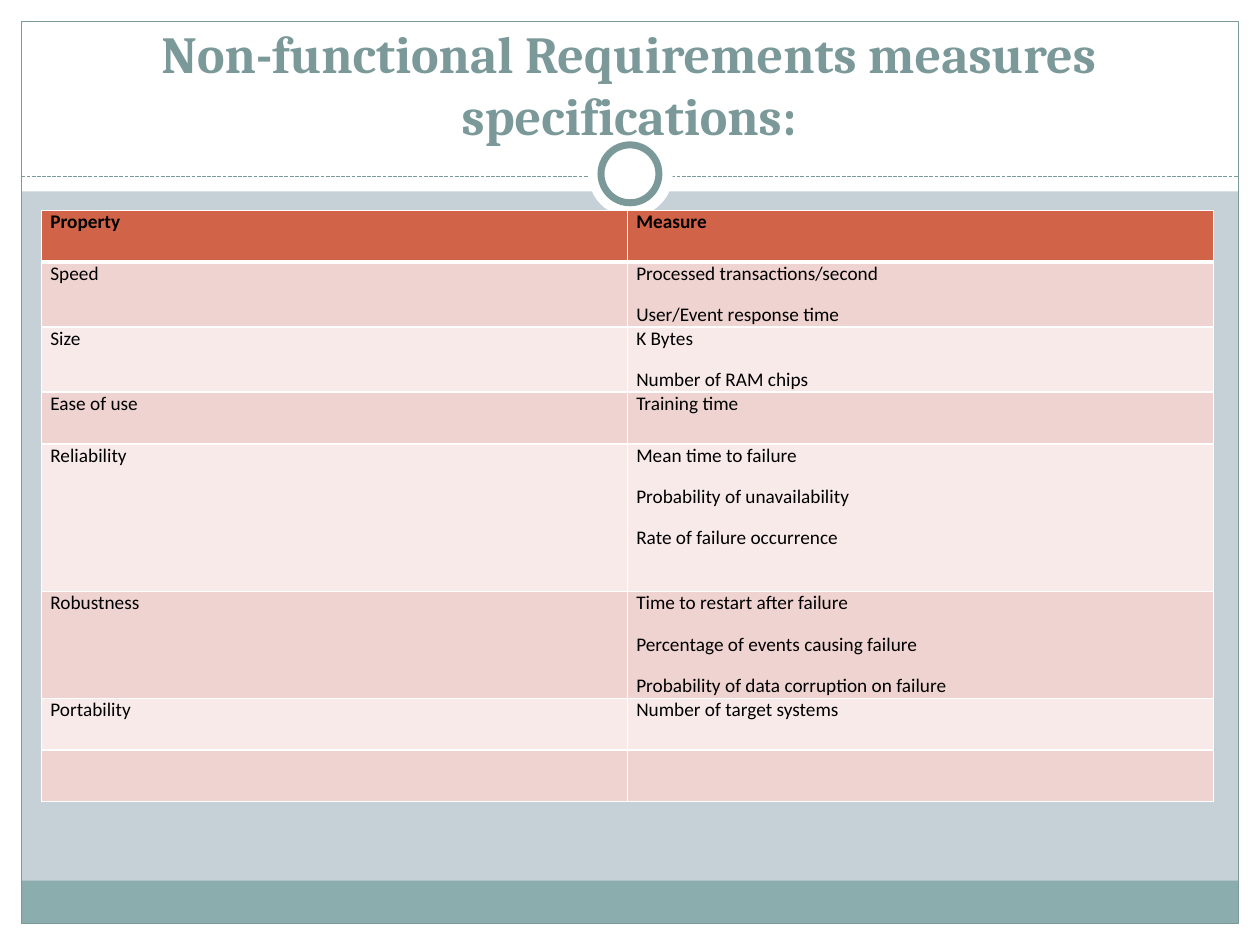
import pptx
import pptx.dml.color
import pptx.enum.dml
import pptx.enum.shapes
import pptx.enum.text
import pptx.oxml
import pptx.oxml.ns
import pptx.oxml.xmlchemy
import pptx.util
from pptx.util import Inches

WHITE = "FFFFFF"
TEAL = "7C999A"
HEADER_FILL = "D16349"
BAND_FILLS = ("F7EAE9", "EED3D0")

# Row height, property, measures
ROWS = [
    (0.41, "Property", ["Measure"]),
    (0.51, "Speed", ["Processed transactions/second", "User/Event response time"]),
    (0.51, "Size", ["K Bytes", "Number of RAM chips"]),
    (0.41, "Ease of use", ["Training time"]),
    (1.17, "Reliability", ["Mean time to failure", "Probability of unavailability",
                           "Rate of failure occurrence"]),
    (0.85, "Robustness", ["Time to restart after failure",
                          "Percentage of events causing failure",
                          "Probability of data corruption on failure"]),
    (0.41, "Portability", ["Number of target systems"]),
    (0.41, "", []),
]


def color(hex_value):
    return pptx.dml.color.RGBColor.from_string(hex_value)


def set_fill(fill, hex_value):
    fill.solid()
    fill.fore_color.rgb = color(hex_value)


def add_shape(slide, preset, box, fill=None, line=None, line_width=0.75):
    shape = slide.shapes.add_shape(preset, *(Inches(value) for value in box))
    shape.shadow.inherit = False
    if fill:
        set_fill(shape.fill, fill)
    else:
        shape.fill.background()
    if line:
        shape.line.color.rgb = color(line)
        shape.line.width = pptx.util.Pt(line_width)
    else:
        shape.line.fill.background()


def add_dashed_line(slide, left, right, top):
    connector = slide.shapes.add_connector(
        pptx.enum.shapes.MSO_CONNECTOR.STRAIGHT,
        Inches(left), Inches(top), Inches(right), Inches(top))
    connector.line.color.rgb = color(TEAL)
    connector.line.width = pptx.util.Pt(0.75)
    connector.line.dash_style = pptx.enum.dml.MSO_LINE.SQUARE_DOT
    properties = connector._element.spPr
    properties.append(pptx.oxml.xmlchemy.OxmlElement("a:effectLst"))


def add_frame(slide):
    """Draw the white margins, footer band, outline and ring behind the content."""
    rectangle = pptx.enum.shapes.MSO_SHAPE.RECTANGLE
    oval = pptx.enum.shapes.MSO_SHAPE.OVAL
    margins = [(0, 7.33, 10, 0.17), (0, 0, 10, 1.52),
               (0, 0, 0.17, 7.5), (9.83, 0, 0.17, 7.5)]
    for box in margins:
        add_shape(slide, rectangle, box, fill=WHITE)
    add_shape(slide, rectangle, (0.17, 6.99, 9.66, 0.34), fill="8CADAE")
    add_shape(slide, rectangle, (0.17, 0.17, 9.66, 7.16), line=TEAL)
    add_dashed_line(slide, 0.17, 9.83, 1.4)
    add_shape(slide, oval, (4.67, 1.05, 0.67, 0.67), fill=WHITE)
    add_shape(slide, oval, (4.77, 1.15, 0.46, 0.46), fill=WHITE, line=TEAL, line_width=4)


def format_title(slide, text):
    title = slide.shapes.title
    title.left, title.top = Inches(0.33), Inches(0.83)
    title.width, title.height = Inches(9.33), Inches(0.83)
    frame = title.text_frame
    frame.text = text
    frame.word_wrap = True
    frame.auto_size = pptx.enum.text.MSO_AUTO_SIZE.NONE
    frame.vertical_anchor = pptx.enum.text.MSO_ANCHOR.BOTTOM
    frame.margin_bottom = Inches(0.5)
    paragraph = frame.paragraphs[0]
    paragraph.alignment = pptx.enum.text.PP_ALIGN.CENTER
    paragraph.font.name = "Cambria"
    paragraph.font.size = pptx.util.Pt(29.7)
    paragraph.font.bold = True
    paragraph.font.color.rgb = color(TEAL)
    # Bring the title in front of the white header band.
    slide.shapes._spTree.append(title._element)


def set_borders(cell, top=1, bottom=1):
    properties = cell._tc.get_or_add_tcPr()
    for side, width in (("L", 1), ("R", 1), ("T", top), ("B", bottom)):
        properties.append(pptx.oxml.parse_xml(
            f'<a:ln{side} {pptx.oxml.ns.nsdecls("a")} w="{pptx.util.Pt(width)}">'
            f'<a:solidFill><a:srgbClr val="{WHITE}"/></a:solidFill></a:ln{side}>'))


def fill_cell(cell, lines, bold):
    cell.margin_left = cell.margin_right = Inches(0.07)
    cell.margin_top = cell.margin_bottom = 0
    cell.text = "\n".join(lines)
    for paragraph in cell.text_frame.paragraphs:
        paragraph.space_after = pptx.util.Pt(10)
        paragraph.font.name = "Calibri"
        paragraph.font.size = pptx.util.Pt(11)
        paragraph.font.bold = bold
        paragraph.font.color.rgb = color("000000")


def add_measures_table(slide):
    total_height = sum(height for height, _, _ in ROWS)
    table = slide.shapes.add_table(
        len(ROWS), 2, Inches(0.33), Inches(1.67),
        Inches(9.3), Inches(total_height)).table
    for index, (height, name, measures) in enumerate(ROWS):
        is_header = index == 0
        table.rows[index].height = Inches(height)
        for column, lines in enumerate(([name], measures)):
            cell = table.cell(index, column)
            fill_cell(cell, lines, bold=is_header)
            set_borders(cell, top=3 if index == 1 else 1, bottom=3 if is_header else 1)
            set_fill(cell.fill, HEADER_FILL if is_header else BAND_FILLS[index % 2])


def main():
    presentation = pptx.Presentation()
    presentation.slide_width = Inches(10)
    presentation.slide_height = Inches(7.5)
    slide = presentation.slides.add_slide(presentation.slide_layouts[5])
    set_fill(slide.background.fill, "C5D1D7")
    add_frame(slide)
    format_title(slide, "Non-functional Requirements measures specifications:")
    add_measures_table(slide)
    presentation.save("out.pptx")


if __name__ == "__main__":
    main()
